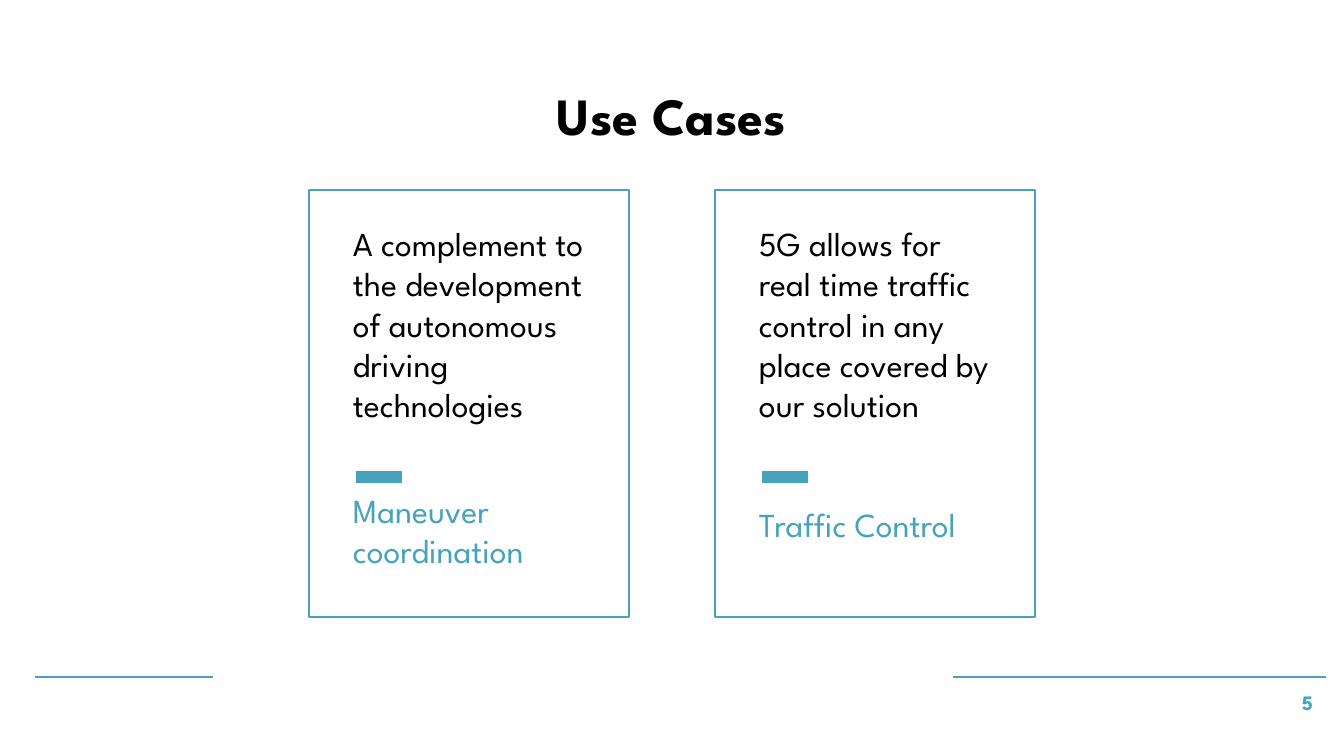
from lxml import etree
from pptx import Presentation
from pptx.dml.color import RGBColor
from pptx.enum.shapes import MSO_CONNECTOR, MSO_SHAPE
from pptx.enum.text import MSO_ANCHOR, MSO_AUTO_SIZE, PP_ALIGN
from pptx.oxml.ns import qn
from pptx.util import Pt

STRAIGHT = MSO_CONNECTOR.STRAIGHT
RECTANGLE = MSO_SHAPE.RECTANGLE
TOP = MSO_ANCHOR.TOP
NO_FIT = MSO_AUTO_SIZE.NONE
LEFT, CENTER, RIGHT = PP_ALIGN.LEFT, PP_ALIGN.CENTER, PP_ALIGN.RIGHT

WIDTH, HEIGHT = 1344, 756
EMU_PER_PX = 9144000 / WIDTH
FONT = "League Spartan"
COLORS = {"accent": "47A3BD", "text": "000000"}
INSET = 13

CARD_LEFT, CARD_TOP, CARD_WIDTH, CARD_HEIGHT = 309, 190, 320, 427
CARD_STEP = 406
CARDS = [
    ("A complement to the development of autonomous driving technologies",
     "Maneuver coordination", 287),
    ("5G allows for real time traffic control in any place covered by our solution",
     "Traffic Control", 301),
]


def px(length):
    return round(length * EMU_PER_PX)


def color(name):
    return RGBColor.from_string(COLORS[name])


def write(shape, text, size, color_name, align=LEFT, bold=False):
    frame = shape.text_frame
    frame.text = text
    frame.word_wrap = True
    frame.auto_size = NO_FIT
    frame.vertical_anchor = TOP
    frame.margin_left = frame.margin_right = px(INSET)
    frame.margin_top = frame.margin_bottom = px(INSET)
    para = frame.paragraphs[0]
    para.alignment = align
    font = para.runs[0].font
    font.name = FONT
    font.size = Pt(size)
    font.bold = bold
    font.color.rgb = color(color_name)


def add_text(page, box, text, size, color_name, align=LEFT, bold=False):
    shape = page.shapes.add_textbox(*map(px, box))
    write(shape, text, size, color_name, align, bold)


def add_rule(page, left, right, top, weight):
    rule = page.shapes.add_connector(STRAIGHT, px(left), px(top), px(right), px(top))
    rule.line.color.rgb = color("accent")
    rule.line.width = Pt(weight)
    etree.SubElement(rule._element.spPr, qn("a:effectLst"))


def add_footer(page, left, top, width, height):
    add_rule(page, left, left + 178, top, 0.75)
    add_rule(page, left + 918, left + width, top, 0.75)
    number_box = (left + width - 86, top, 86, height)
    add_text(page, number_box, "5", 11, "accent", RIGHT, True)


def add_title(page, left, top, width, height):
    title = page.shapes.title
    title.left, title.top = px(left), px(top)
    title.width, title.height = px(width), px(height)
    write(title, "Use Cases", 28, "text", CENTER, True)


def add_card(page, left, top, width, height, description, label, label_offset):
    frame = page.shapes.add_shape(RECTANGLE, px(left), px(top), px(width), px(height))
    frame.shadow.inherit = False
    frame.fill.background()
    frame.line.color.rgb = color("accent")
    frame.line.width = Pt(0.75)
    text_left, text_width = left + 31, width - 62
    add_text(page, (text_left, top + 20, text_width, 230), description, 18, "text")
    add_text(page, (text_left, top + label_offset, text_width, 91), label, 18, "accent")
    add_rule(page, left + 47, left + 93, top + 287, 6)


def main():
    deck = Presentation()
    deck.slide_width, deck.slide_height = px(WIDTH), px(HEIGHT)
    page = deck.slides.add_slide(deck.slide_layouts[5])
    add_footer(page, 35, 677, 1291, 58)
    add_title(page, 216, 70, 911, 85)
    for index, (description, label, label_offset) in enumerate(CARDS):
        add_card(page, CARD_LEFT + index * CARD_STEP, CARD_TOP, CARD_WIDTH, CARD_HEIGHT,
                 description, label, label_offset)
    deck.save("out.pptx")


if __name__ == "__main__":
    main()
